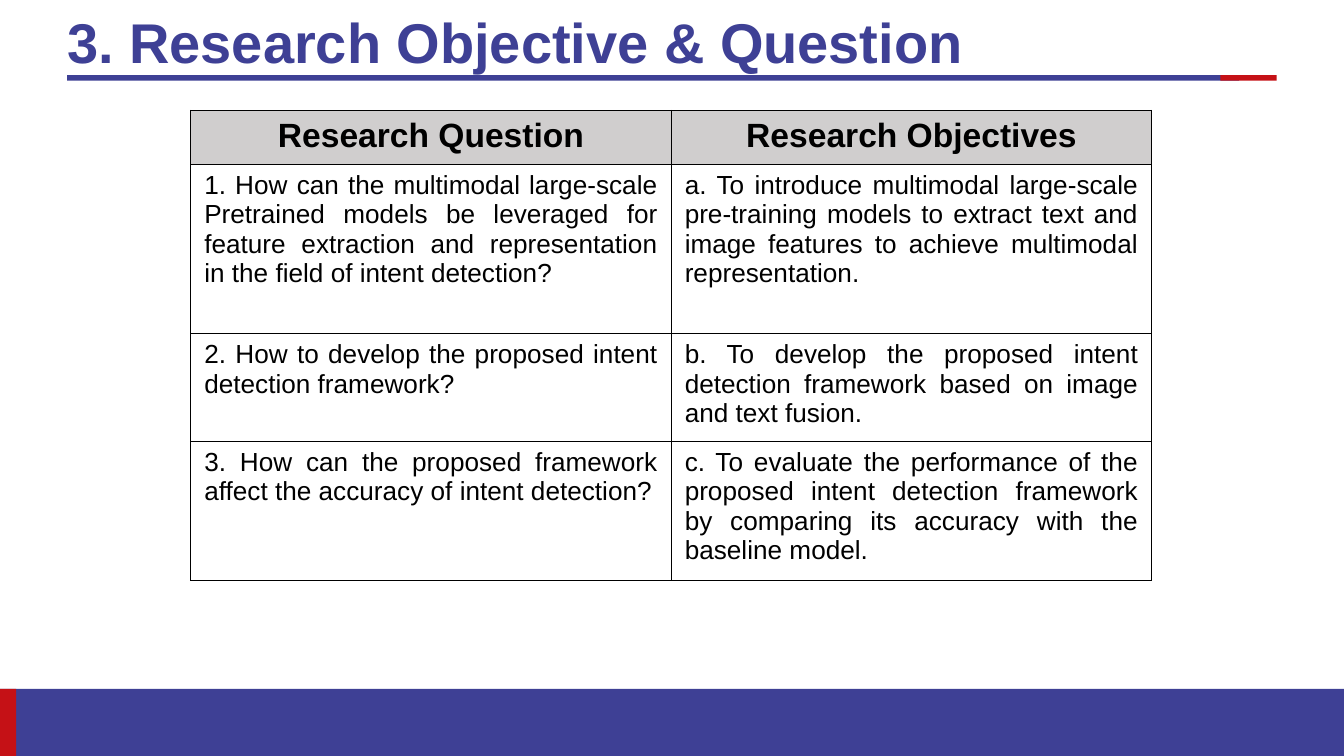
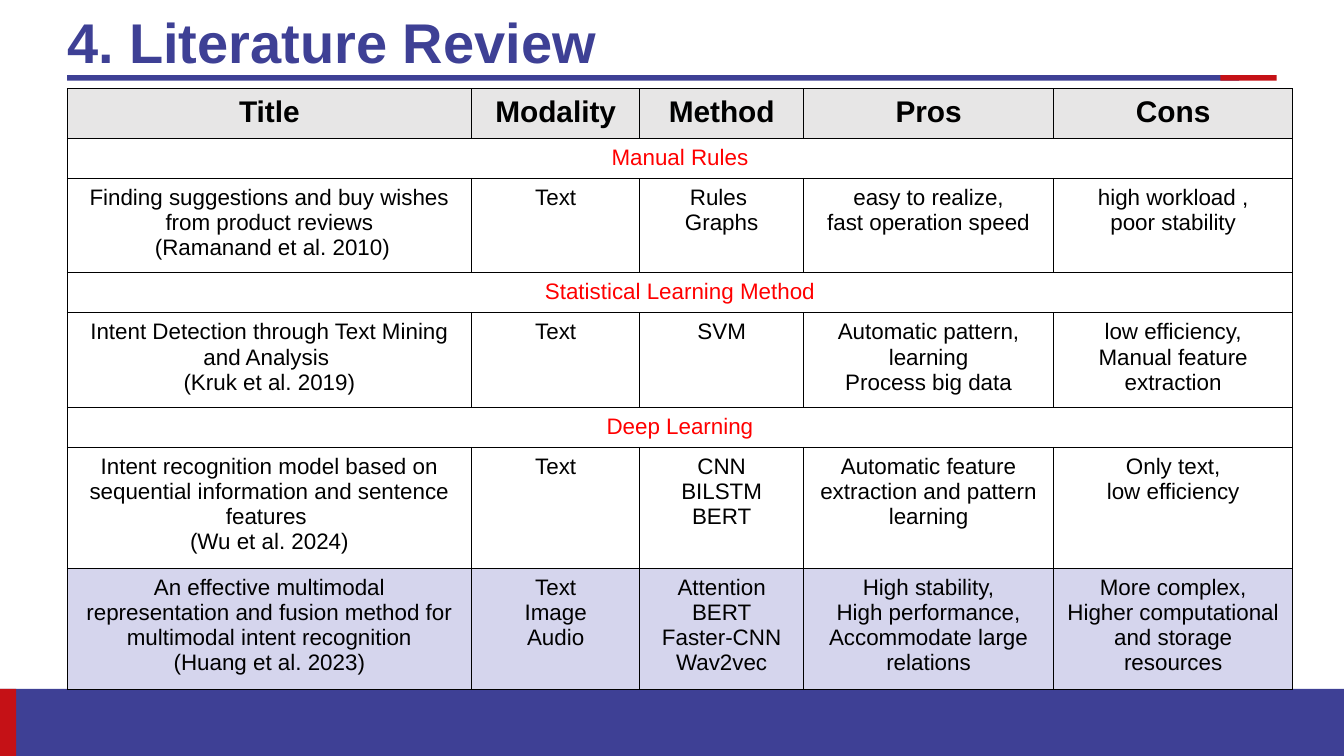
from dataclasses import dataclass

from lxml.etree import SubElement
from pptx import Presentation
from pptx.dml.color import RGBColor
from pptx.enum.shapes import MSO_SHAPE
from pptx.enum.text import MSO_ANCHOR, PP_ALIGN
from pptx.oxml.ns import qn
from pptx.util import Inches, Pt

# Content: a plain string as a row is a section heading across all columns,
# and each line break in a cell starts a new paragraph.
OBJECTIVES = {
    "title": "3. Research Objective & Question",
    "header": ["Research Question", "Research Objectives"],
    "rows": [
        ["1. How can the multimodal large-scale Pretrained models be leveraged for "
         "feature extraction and representation in the field of intent detection?",
         "a. To introduce multimodal large-scale pre-training models to extract text "
         "and image features to achieve multimodal representation."],
        ["2. How to develop the proposed intent detection framework?",
         "b. To develop the proposed intent detection framework based on image "
         "and text fusion."],
        ["3. How can the proposed framework affect the accuracy of intent detection?",
         "c. To evaluate the performance of the proposed intent detection framework "
         "by comparing its accuracy with the baseline model."],
    ],
    "frame": (1.42, 0.82, 7.15, 3.49),
    "widths": [7.15 / 2] * 2,
    "heights": [0.4, 1.26, 0.79, 1.03],
    "header_fill": "D0CECE",
    "header_size": 18,
    "body_size": 14,
    "body_align": PP_ALIGN.JUSTIFY,
}

LITERATURE = {
    "title": "4. Literature Review",
    "header": ["Title", "Modality", "Method", "Pros", "Cons"],
    "rows": [
        "Manual Rules",
        ["Finding suggestions and buy wishes from product reviews\n (Ramanand et al. 2010)",
         "Text", "Rules \nGraphs", "easy to realize,\nfast operation speed",
         "high workload ,\npoor stability"],
        "Statistical Learning Method",
        ["Intent Detection through Text Mining and Analysis \n(Kruk et al. 2019)",
         "Text", "SVM", "Automatic pattern, learning\nProcess big data",
         "low efficiency,\nManual feature extraction"],
        "Deep Learning",
        ["Intent recognition model based on sequential information and sentence "
         "features \n(Wu et al. 2024)",
         "Text", "CNN\nBILSTM\nBERT",
         "Automatic feature extraction and pattern learning",
         "Only text,\nlow efficiency"],
        ["An effective multimodal representation and fusion method for multimodal "
         "intent recognition\n(Huang et al. 2023)",
         "Text\nImage\nAudio", "Attention\nBERT\nFaster-CNN\nWav2vec",
         "High stability,\nHigh performance,\nAccommodate large relations",
         "More complex,\nHigher computational and storage resources"],
    ],
    "frame": (0.5, 0.66, 9.12, 4.47),
    "widths": [3.01, 1.25, 1.22, 1.86, 1.78],
    "heights": [0.2, 0.19, 0.69, 0.3, 0.69, 0.3, 0.89, 0.89],
    "header_fill": "E7E6E6",
    "header_size": 16,
    "body_size": 12,
    "body_align": PP_ALIGN.CENTER,
    "highlight_last": True,
}


@dataclass(frozen=True)
class Theme:
    font: str = "Arial"
    blue: str = "3E4095"
    red: str = "C51116"
    text: str = "000000"
    section: str = "FF0000"
    highlight: str = "D5D5ED"
    border: str = "000000"
    border_width: float = 0.5
    title_size: int = 30


THEME = Theme()
SLIDE_WIDTH = 10
SLIDE_HEIGHT = SLIDE_WIDTH * 9 / 16
FOOTER_HEIGHT = 0.5
FOOTER_TOP = SLIDE_HEIGHT - FOOTER_HEIGHT
BARS = [  # left, top, width, height, colour
    (0.5, 0.56, 8.72, 0.04, THEME.blue),
    (9.08, 0.56, 0.42, 0.04, THEME.red),
    (0, FOOTER_TOP, SLIDE_WIDTH, FOOTER_HEIGHT, THEME.blue),
    (0, FOOTER_TOP, 0.12, FOOTER_HEIGHT, THEME.red),
]


def write_text(frame, text, size, color, align, bold=False):
    """Write each line of text as a paragraph with one run."""
    for index, line in enumerate(text.split("\n")):
        paragraph = frame.add_paragraph() if index else frame.paragraphs[0]
        paragraph.alignment = align
        run = paragraph.add_run()
        run.text = line
        run.font.name = THEME.font
        run.font.size = Pt(size)
        run.font.bold = bold
        run.font.color.rgb = RGBColor.from_string(color)


def add_frame(slide, title):
    """Draw the bands and the title that all slides share."""
    for left, top, width, height, color in BARS:
        bar = slide.shapes.add_shape(
            MSO_SHAPE.RECTANGLE, Inches(left), Inches(top), Inches(width), Inches(height))
        bar.shadow.inherit = False
        bar.fill.solid()
        bar.fill.fore_color.rgb = RGBColor.from_string(color)
        bar.line.fill.background()

    box = slide.shapes.add_textbox(Inches(0.5), 0, Inches(9), Inches(0.67))
    frame = box.text_frame
    frame.word_wrap = True
    frame.vertical_anchor = MSO_ANCHOR.MIDDLE
    frame.margin_left = frame.margin_right = frame.margin_top = frame.margin_bottom = 0
    write_text(frame, title, THEME.title_size, THEME.blue, PP_ALIGN.LEFT, bold=True)
    frame.paragraphs[0].line_spacing = 0.9


def style_cell(cell, fill):
    """Set the fill and the four thin borders of a cell."""
    if fill:
        cell.fill.solid()
        cell.fill.fore_color.rgb = RGBColor.from_string(fill)
    else:
        cell.fill.background()
    properties = cell._tc.get_or_add_tcPr()
    for index, side in enumerate(("lnL", "lnR", "lnT", "lnB")):
        line = SubElement(properties, qn(f"a:{side}"), w=str(Pt(THEME.border_width)))
        solid = SubElement(line, qn("a:solidFill"))
        SubElement(solid, qn("a:srgbClr"), val=THEME.border)
        properties.insert(index, line)  # borders come before the fill


def add_content_table(slide, content):
    widths, heights = content["widths"], content["heights"]
    left, top, width, height = map(Inches, content["frame"])
    shape = slide.shapes.add_table(len(heights), len(widths), left, top, width, height)
    table = shape.table
    table.first_row = table.horz_banding = False
    for column, column_width in zip(table.columns, widths):
        column.width = Inches(column_width)
    for row, row_height in zip(table.rows, heights):
        row.height = Inches(row_height)
    shape.width, shape.height = width, height  # the frame includes row growth

    rows = [content["header"], *content["rows"]]
    for row_index, texts in enumerate(rows):
        is_header = row_index == 0
        is_section = isinstance(texts, str)
        is_last = row_index == len(rows) - 1
        fill = None
        if is_header:
            fill = content["header_fill"]
        elif is_last and content.get("highlight_last"):
            fill = THEME.highlight

        cells = list(table.rows[row_index].cells)
        for cell in cells:
            style_cell(cell, fill)
        if is_section:
            cells[0].merge(cells[-1])
            texts = [texts]
        for cell, text in zip(cells, texts):
            write_text(
                cell.text_frame, text,
                content["header_size"] if is_header else content["body_size"],
                THEME.section if is_section else THEME.text,
                PP_ALIGN.CENTER if is_header else content["body_align"],
                bold=is_header)


def main():
    presentation = Presentation()
    presentation.slide_width = Inches(SLIDE_WIDTH)
    presentation.slide_height = Inches(SLIDE_HEIGHT)
    blank = presentation.slide_layouts[6]
    for content in (OBJECTIVES, LITERATURE):
        slide = presentation.slides.add_slide(blank)
        add_frame(slide, content["title"])
        add_content_table(slide, content)
    presentation.save("out.pptx")


if __name__ == "__main__":
    main()
